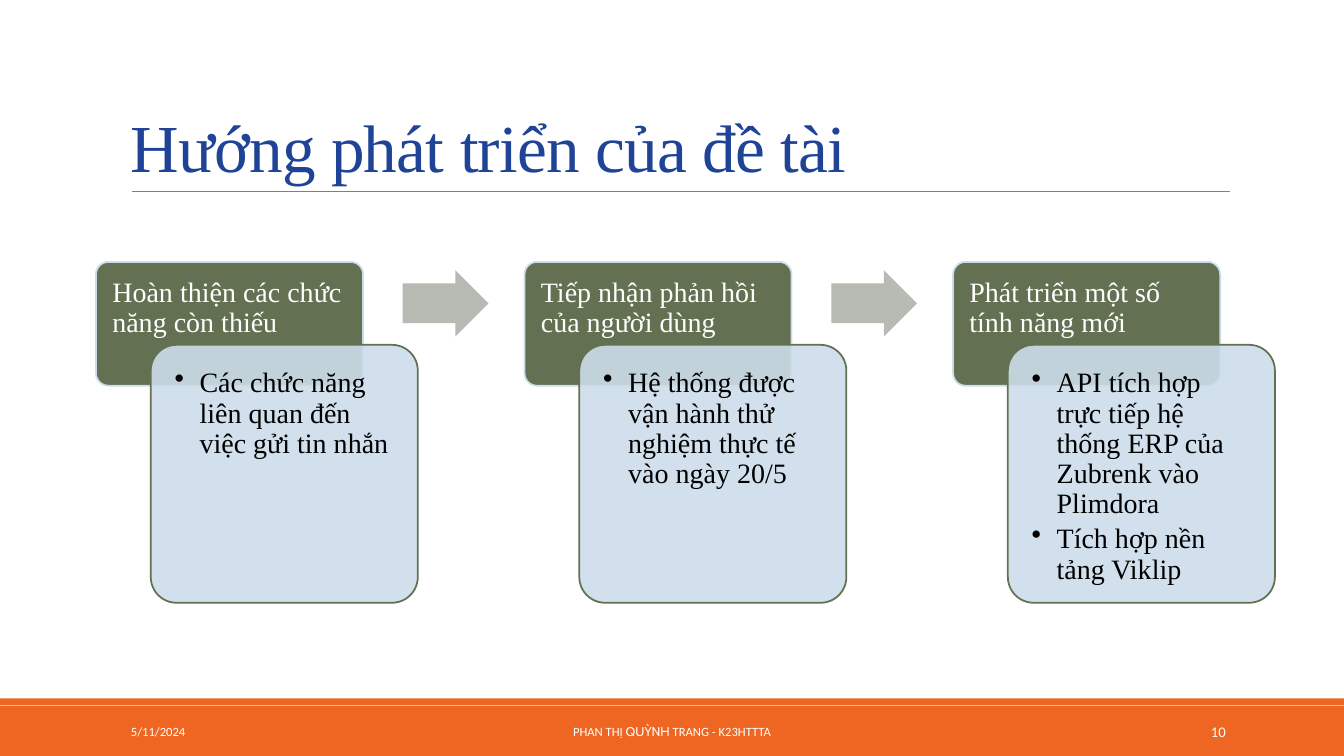
from lxml import etree
from pptx import Presentation
from pptx.dml.color import RGBColor
from pptx.enum.shapes import MSO_CONNECTOR, MSO_SHAPE
from pptx.enum.text import MSO_ANCHOR as ANCHOR, PP_ALIGN as ALIGN
from pptx.oxml.ns import qn
from pptx.util import Cm, Pt

ORANGE = RGBColor(0xEF, 0x66, 0x22)
BLUE = RGBColor(0x1F, 0x43, 0x97)
GREEN = RGBColor(0x63, 0x70, 0x52)
PALE_BLUE = RGBColor(0xCC, 0xDD, 0xEA)
ARROW_GREY = RGBColor(0xB7, 0xBB, 0xB3)
RULE_GREY = RGBColor(0x80, 0x80, 0x80)
WHITE = RGBColor(0xFF, 0xFF, 0xFF)
BLACK = RGBColor(0x00, 0x00, 0x00)
SERIF = "Times New Roman"

prs = Presentation()
prs.slide_width, prs.slide_height = Cm(33.87), Cm(19.05)
slide = prs.slides.add_slide(prs.slide_layouts[6])
shapes = slide.shapes


def add_block(preset, left, top, width, height, fill, line=None):
    block = shapes.add_shape(preset, Cm(left), Cm(top), Cm(width), Cm(height))
    block.shadow.inherit = False
    block.fill.solid()
    block.fill.fore_color.rgb = fill
    if line is None:
        block.line.fill.background()
    else:
        block.line.color.rgb = line
        block.line.width = Pt(1.25)
    return block


def write(holder, lines, size, color, font, align=ALIGN.LEFT, anchor=ANCHOR.TOP):
    frame = holder.text_frame
    frame.word_wrap = True
    frame.vertical_anchor = anchor
    frame.text = "\n".join(lines)
    for paragraph in frame.paragraphs:
        paragraph.alignment = align
        for run in paragraph.runs:
            run.font.size = Pt(size)
            run.font.color.rgb = color
            run.font.name = font
    return frame


# Footer bands
add_block(MSO_SHAPE.RECTANGLE, 0, 17.78, 33.87, 1.27, ORANGE)
add_block(MSO_SHAPE.RECTANGLE, 0, 17.6, 33.87, 0.17, ORANGE)

# Title and the rule below it
title = shapes.add_textbox(Cm(3.05), Cm(0.79), Cm(27.94), Cm(4.04))
heading = write(title, ["Hướng phát triển của đề tài"], 48, BLUE, SERIF,
                anchor=ANCHOR.BOTTOM).paragraphs[0]
heading.line_spacing = 0.85
heading.runs[0].font._element.set("spc", "-50")

rule = shapes.add_connector(MSO_CONNECTOR.STRAIGHT, Cm(3.33), Cm(4.82), Cm(31), Cm(4.82))
rule.line.color.rgb = RULE_GREY
rule.line.width = Pt(0.5)
etree.SubElement(rule._element.spPr, qn("a:effectLst"))

# Three steps: a green header, an overlapping detail card, an arrow to the next
steps = [
    ("Hoàn thiện các chức năng còn thiếu",
     ["Các chức năng liên quan đến việc gửi tin nhắn"]),
    ("Tiếp nhận phản hồi của người dùng",
     ["Hệ thống được vận hành thử nghiệm thực tế vào ngày 20/5"]),
    ("Phát triển một số tính năng mới",
     ["API tích hợp trực tiếp hệ thống ERP của Zubrenk vào Plimdora",
      "Tích hợp nền tảng Viklip"]),
]
FIRST_LEFT, PITCH, STEP_WIDTH = 2.42, 10.8, 6.73

for number, (step, details) in enumerate(steps):
    left = FIRST_LEFT + number * PITCH

    header = add_block(MSO_SHAPE.ROUNDED_RECTANGLE, left, 6.6, STEP_WIDTH, 3.12,
                       GREEN, PALE_BLUE)
    card = add_block(MSO_SHAPE.ROUNDED_RECTANGLE, left + 1.38, 8.69, STEP_WIDTH, 6.5,
                     PALE_BLUE, GREEN)
    color = card.fill._xPr.find(qn("a:solidFill"))[0]
    etree.SubElement(color, qn("a:alpha"), val="90000")

    for box, lines, ink, inset in ((header, [step], WHITE, 0.32),
                                   (card, details, BLACK, 0.41)):
        box.adjustments[0] = 0.1
        frame = write(box, lines, 20, ink, SERIF)
        frame.margin_left = frame.margin_right = Cm(inset)
        frame.margin_top = frame.margin_bottom = Cm(inset)
        for paragraph in frame.paragraphs:
            paragraph.line_spacing = 0.9

    for paragraph in card.text_frame.paragraphs:
        paragraph.space_after = Pt(3.5)
        props = paragraph._p.get_or_add_pPr()
        props.set("marL", str(Cm(0.63)))
        props.set("indent", str(Cm(-0.63)))
        etree.SubElement(props, qn("a:buChar"), char="•")

    if number < len(steps) - 1:
        arrow = add_block(MSO_SHAPE.RIGHT_ARROW, left + 7.73, 6.81, 2.16, 1.67, ARROW_GREY)
        arrow.adjustments[0] = 0.6
        arrow.adjustments[1] = 0.5

# Footer texts
footers = [
    ("5/11/2024", 3.05, 6.86, 9, ALIGN.LEFT),
    ("10", 27.51, 3.63, 10.5, ALIGN.RIGHT),
]
for text, left, width, size, align in footers:
    footer = shapes.add_textbox(Cm(left), Cm(17.94), Cm(width), Cm(1.01))
    write(footer, [text], size, WHITE, "Calibri", align, ANCHOR.MIDDLE)

author = shapes.add_textbox(Cm(10.24), Cm(17.94), Cm(13.39), Cm(1.01))
author_line = author.text_frame.paragraphs[0]
author.text_frame.word_wrap = True
author.text_frame.vertical_anchor = ANCHOR.MIDDLE
author_line.alignment = ALIGN.CENTER
for text, font in (("PHAN THỊ ", "Calibri"), ("QUỲNH", "Cabin"),
                   (" TRANG - K23HTTTA", "Calibri")):
    run = author_line.add_run()
    run.text = text
    run.font.size = Pt(9)
    run.font.name = font
    run.font.color.rgb = WHITE

prs.save("out.pptx")
